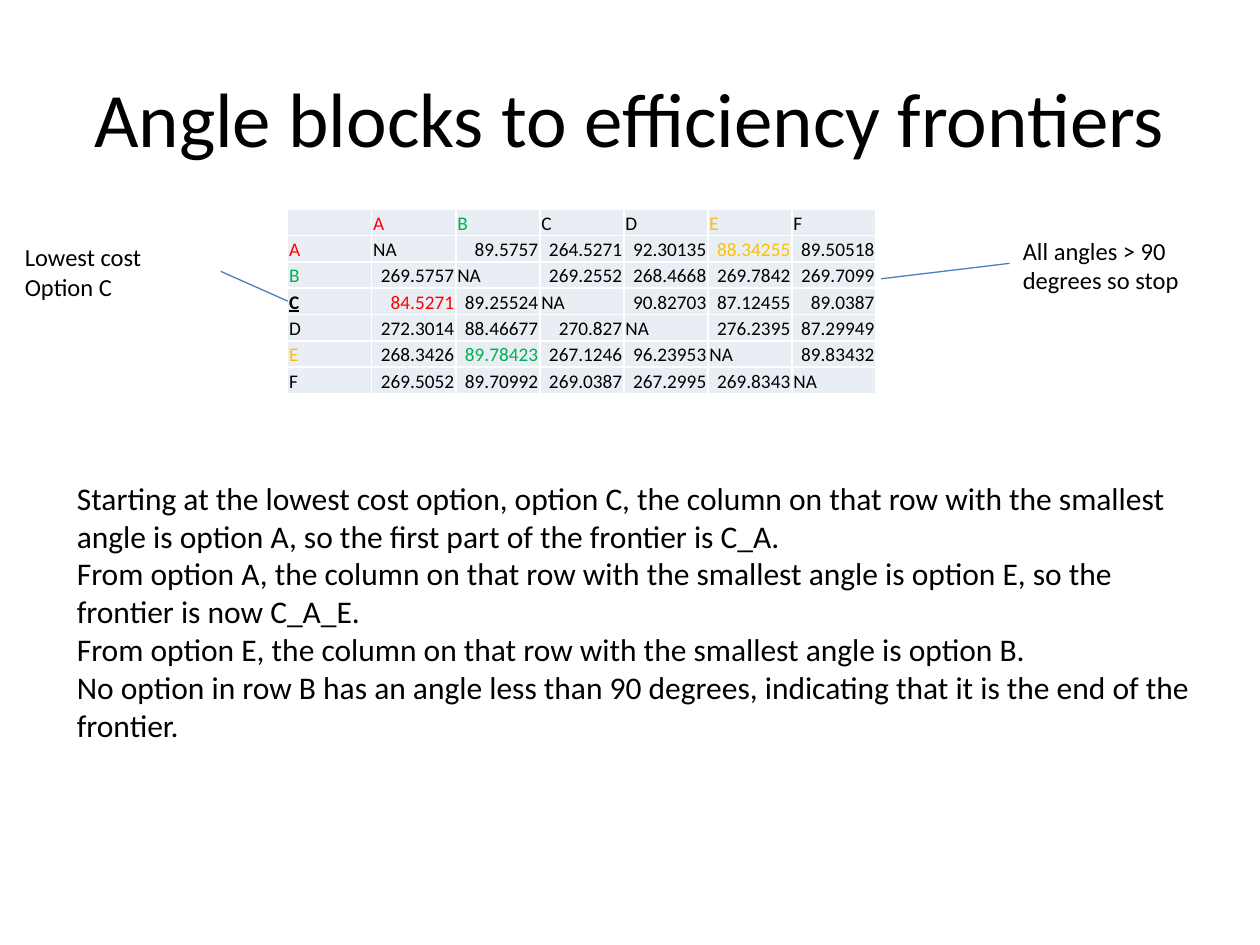
from lxml import etree
from pptx import Presentation
from pptx.dml.color import RGBColor
from pptx.enum.shapes import MSO_CONNECTOR
from pptx.enum.text import MSO_ANCHOR, PP_ALIGN
from pptx.oxml.ns import qn
from pptx.util import Cm, Pt

LEFT, CENTER, RIGHT = PP_ALIGN.LEFT, PP_ALIGN.CENTER, PP_ALIGN.RIGHT
TOP, MIDDLE, BOTTOM = MSO_ANCHOR.TOP, MSO_ANCHOR.MIDDLE, MSO_ANCHOR.BOTTOM
STRAIGHT = MSO_CONNECTOR.STRAIGHT

BLACK = RGBColor(0x00, 0x00, 0x00)
WHITE = RGBColor(0xFF, 0xFF, 0xFF)
RED = RGBColor(0xFF, 0x00, 0x00)
GREEN = RGBColor(0x00, 0xB0, 0x50)
AMBER = RGBColor(0xFF, 0xC0, 0x00)
CELL_FILL = RGBColor(0xE9, 0xED, 0xF4)
LINE_BLUE = RGBColor(0x4B, 0x7E, 0xBC)

OPTIONS = "ABCDEF"
ANGLES = [
    ["NA", "89.5757", "264.5271", "92.30135", "88.34255", "89.50518"],
    ["269.5757", "NA", "269.2552", "268.4668", "269.7842", "269.7099"],
    ["84.5271", "89.25524", "NA", "90.82703", "87.12455", "89.0387"],
    ["272.3014", "88.46677", "270.827", "NA", "276.2395", "87.29949"],
    ["268.3426", "89.78423", "267.1246", "96.23953", "NA", "89.83432"],
    ["269.5052", "89.70992", "269.0387", "267.2995", "269.8343", "NA"],
]
ANGLE_TABLE = [["", *OPTIONS]] + [
    [option, *angles] for option, angles in zip(OPTIONS, ANGLES)
]
# Options on the frontier and the smallest angles that lead to them
TEXT_COLORS = {
    "A": RED, "84.5271": RED,
    "E": AMBER, "88.34255": AMBER,
    "B": GREEN, "89.78423": GREEN,
}
START_CELL = (3, 0)

EXPLANATION = [
    "Starting at the lowest cost option, option C, the column on that row with "
    "the smallest angle is option A, so the first part of the frontier is C_A.",
    "From option A, the column on that row with the smallest angle is option E, "
    "so the frontier is now C_A_E.",
    "From option E, the column on that row with the smallest angle is option B.",
    "No option in row B has an angle less than 90 degrees, indicating that it is "
    "the end of the frontier.",
]


def write_paragraph(paragraph, text, font="Calibri", size=14, color=BLACK,
                    align=LEFT, emphasis=False):
    paragraph.alignment = align
    if not text:
        # Keeps an empty cell from growing to the default text size
        paragraph._p.get_or_add_endParaRPr().set("sz", str(size * 100))
        return
    run = paragraph.add_run()
    run.text = text
    run.font.name = font
    run.font.size = Pt(size)
    run.font.color.rgb = color
    run.font.bold = emphasis
    run.font.underline = emphasis


class SlideBuilder:
    def __init__(self, slide, font="Calibri"):
        self.slide = slide
        self.font = font

    def text(self, lines, left, top, width, height, anchor=TOP, **style):
        box = self.slide.shapes.add_textbox(Cm(left), Cm(top), Cm(width), Cm(height))
        frame = box.text_frame
        frame.word_wrap = True
        frame.vertical_anchor = anchor
        for index, line in enumerate(lines):
            paragraph = frame.add_paragraph() if index else frame.paragraphs[0]
            write_paragraph(paragraph, line, font=self.font, **style)

    def line(self, start_x, start_y, end_x, end_y):
        connector = self.slide.shapes.add_connector(
            STRAIGHT, Cm(start_x), Cm(start_y), Cm(end_x), Cm(end_y))
        connector.line.color.rgb = LINE_BLUE
        connector.line.width = Pt(0.75)
        etree.SubElement(connector._element.spPr, qn("a:effectLst"))

    def table(self, rows, left, top, width, height):
        table = self.slide.shapes.add_table(
            len(rows), len(rows[0]), Cm(left), Cm(top), Cm(width), Cm(height)).table
        table.first_row = False
        table.horz_banding = False
        for row, values in enumerate(rows):
            for column, value in enumerate(values):
                self.cell(table.cell(row, column), value,
                          emphasis=(row, column) == START_CELL)

    def cell(self, cell, value, emphasis):
        cell.margin_left = cell.margin_right = cell.margin_top = Cm(0.03)
        cell.margin_bottom = Cm(0)
        cell.vertical_anchor = BOTTOM
        self.borders(cell)
        cell.fill.solid()
        cell.fill.fore_color.rgb = CELL_FILL
        write_paragraph(cell.text_frame.paragraphs[0], value, font=self.font, size=11,
                        color=TEXT_COLORS.get(value, BLACK),
                        align=RIGHT if value[:1].isdigit() else LEFT,
                        emphasis=emphasis)

    def borders(self, cell):
        properties = cell._tc.get_or_add_tcPr()
        for side in ("lnL", "lnR", "lnT", "lnB"):
            border = etree.SubElement(properties, qn(f"a:{side}"), w=str(Pt(1)))
            fill = etree.SubElement(border, qn("a:solidFill"))
            etree.SubElement(fill, qn("a:srgbClr"), val=str(WHITE))


def main():
    presentation = Presentation()
    presentation.slide_width = Cm(25.4)
    presentation.slide_height = Cm(19.05)
    slide = presentation.slides.add_slide(presentation.slide_layouts[6])
    builder = SlideBuilder(slide)

    # Title
    builder.text(["Angle blocks to efficiency frontiers"], 1.27, 0.76, 22.86, 3.18,
                 anchor=MIDDLE, size=44, align=CENTER)

    # Angles between options
    builder.table(ANGLE_TABLE, 5.8, 4.22, 11.86, 3.71)

    # Start of the frontier
    builder.text(["Lowest cost", "Option C"], 0.25, 4.76, 4.2, 1.45)
    builder.line(4.45, 5.47, 5.8, 6.07)

    # End of the frontier
    builder.text(["All angles > 90 degrees so stop"], 20.37, 4.63, 4.2, 1.45)
    builder.line(20.35, 5.31, 17.76, 5.62)

    # Explanation
    builder.text(EXPLANATION, 1.3, 9.53, 23.27, 5.64, size=18)

    presentation.save("out.pptx")


if __name__ == "__main__":
    main()
